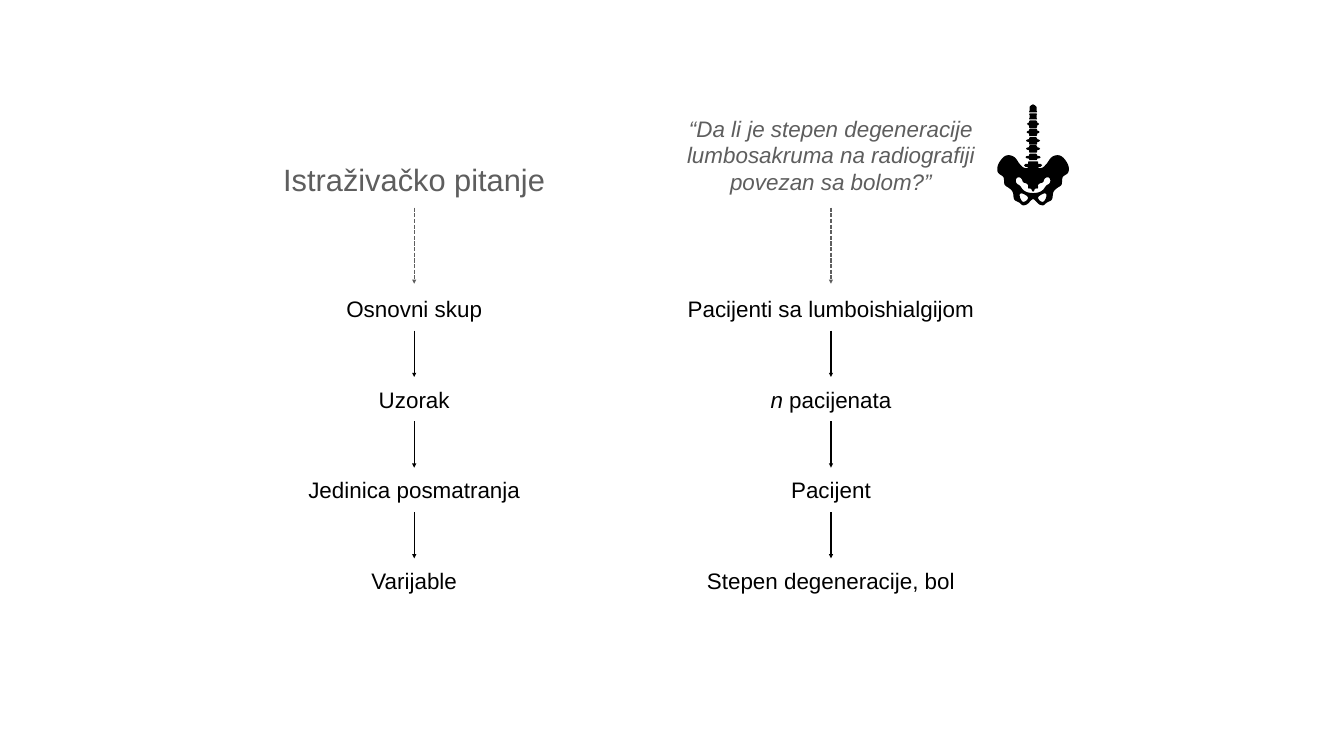
from dataclasses import dataclass

import lxml.etree
import pptx
import pptx.dml.color
import pptx.enum.dml
import pptx.enum.text
import pptx.oxml.ns
import pptx.shapes.shapetree
import pptx.slide
import pptx.util

Inches = pptx.util.Inches
BLACK, GREY = "000000", "5E5E5E"
FIRST_ROW, ROW_STEP, ROW_HEIGHT = 5.75, 1.8, 0.74
SPINE_X = 20.5
CURVE_STEPS = 8

Point = tuple[float, float]
Curve = tuple[Point, Point, Point]


@dataclass(frozen=True)
class Step:
    label: str
    width: float
    italic_lead: str = ""


@dataclass(frozen=True)
class Column:
    center: float
    question: str
    question_top: float
    question_width: float
    question_height: float
    question_size: int
    question_italic: bool
    question_wrap: bool
    steps: tuple[Step, ...]


@dataclass(frozen=True)
class Vertebra:
    top: float
    reach: float
    height: float = 0.15


COLUMNS = (
    Column(8.22, "Istraživačko pitanje", 3.12, 5.41, 0.86, 44, False, False, (
        Step("Osnovni skup", 3.3),
        Step("Uzorak", 1.8),
        Step("Jedinica posmatranja", 5.05),
        Step("Varijable", 2.1),
    )),
    Column(16.49, "“Da li je stepen degeneracije lumbosakruma na radiografiji povezan sa bolom?”",
           2.19, 7.57, 1.77, 32, True, True, (
               Step("Pacijenti sa lumboishialgijom", 6.86),
               Step("pacijenata", 4.1, italic_lead="n "),
               Step("Pacijent", 5.05),
               Step("Stepen degeneracije, bol", 6.29),
           )),
)

VERTEBRAE = (
    Vertebra(2.39, 0.12), Vertebra(2.55, 0.13), Vertebra(2.72, 0.14),
    Vertebra(2.88, 0.14), Vertebra(3.05, 0.15, 0.13),
)
TOP_VERTEBRA: list[Point] = [(0, 2.07), (0.04, 2.09), (0.07, 2.12), (0.07, 2.2), (0.08, 2.22), (0.07, 2.23)]
SECOND_VERTEBRA: list[Point] = [(0, 2.25), (0.06, 2.25), (0.08, 2.26), (0.07, 2.28),
                                (0.07, 2.34), (0.08, 2.36), (0.07, 2.37)]
SACRUM: list[Point] = [(0, 3.2), (0.08, 3.2), (0.1, 3.21), (0.1, 3.25), (0.15, 3.25),
                       (0.18, 3.28), (0.15, 3.31), (0.11, 3.31), (0.1, 3.33)]
HIP: tuple[Curve, ...] = (
    ((0.16, 3.35), (0.21, 3.32), (0.24, 3.28)),
    ((0.28, 3.24), (0.27, 3.25), (0.33, 3.16)),
    ((0.38, 3.08), (0.52, 3.04), (0.6, 3.13)),
    ((0.64, 3.17), (0.72, 3.27), (0.71, 3.37)),
    ((0.71, 3.46), (0.62, 3.47), (0.59, 3.51)),
    ((0.57, 3.55), (0.58, 3.6), (0.57, 3.65)),
    ((0.56, 3.69), (0.52, 3.7), (0.48, 3.73)),
    ((0.44, 3.76), (0.39, 3.79), (0.39, 3.89)),
    ((0.38, 3.99), (0.35, 3.98), (0.29, 4.01)),
    ((0.23, 4.04), (0.23, 4.09), (0.16, 4.07)),
    ((0.09, 4.06), (0.05, 3.96), (0, 3.95)),
)
PELVIC_INLET: tuple[Curve, ...] = (
    ((0.11, 3.83), (0.19, 3.8), (0.24, 3.71)),
    ((0.28, 3.65), (0.31, 3.67), (0.33, 3.63)),
    ((0.36, 3.58), (0.33, 3.52), (0.3, 3.52)),
    ((0.25, 3.51), (0.22, 3.55), (0.21, 3.59)),
    ((0.21, 3.61), (0.19, 3.62), (0.17, 3.63)),
    ((0.15, 3.63), (0.12, 3.64), (0.1, 3.67)),
    ((0.09, 3.69), (0.1, 3.7), (0.1, 3.71)),
    ((0.1, 3.73), (0.09, 3.75), (0.07, 3.74)),
    ((0.05, 3.74), (0.04, 3.74), (0.03, 3.76)),
    ((0.02, 3.78), (0.02, 3.8), (0, 3.8)),
)
HIP_OPENING: tuple[Curve, ...] = (
    ((0.25, 3.84), (0.26, 3.84), (0.26, 3.85)),
    ((0.28, 3.87), (0.25, 3.97), (0.21, 4)),
    ((0.17, 4.02), (0.1, 3.97), (0.1, 3.92)),
    ((0.11, 3.88), (0.19, 3.85), (0.21, 3.84)),
    ((0.22, 3.84), (0.23, 3.83), (0.24, 3.84)),
)


def color(value: str) -> pptx.dml.color.RGBColor:
    return pptx.dml.color.RGBColor.from_string(value)


def add_text(slide: pptx.slide.Slide, text: str, *, center: float, top: float, width: float,
             height: float, size: int = 32, fill: str = BLACK, italic: bool = False,
             italic_lead: str = "", wrap: bool = True) -> None:
    box = slide.shapes.add_textbox(Inches(center - width / 2), Inches(top), Inches(width), Inches(height))
    frame = box.text_frame
    frame.word_wrap = wrap
    frame.vertical_anchor = pptx.enum.text.MSO_ANCHOR.MIDDLE
    frame.margin_left = frame.margin_right = frame.margin_top = frame.margin_bottom = Inches(0.08)
    paragraph = frame.paragraphs[0]
    paragraph.alignment = pptx.enum.text.PP_ALIGN.CENTER
    for content, slanted in ((italic_lead, True), (text, italic)):
        if content:
            run = paragraph.add_run()
            run.text = content
            run.font.name = "Arial"
            run.font.size = pptx.util.Pt(size)
            run.font.italic = slanted
            run.font.color.rgb = color(fill)


def add_arrow(slide: pptx.slide.Slide, x: float, top: float, bottom: float,
              stroke: str = BLACK, dashed: bool = False) -> None:
    arrow = slide.shapes.add_connector(
        pptx.enum.shapes.MSO_CONNECTOR.STRAIGHT, Inches(x), Inches(top), Inches(x), Inches(bottom))
    arrow.line.color.rgb = color(stroke)
    arrow.line.width = pptx.util.Pt(2)
    if dashed:
        arrow.line.dash_style = pptx.enum.dml.MSO_LINE.SQUARE_DOT
    properties = arrow._element.spPr
    outline = properties.find(pptx.oxml.ns.qn("a:ln"))
    lxml.etree.SubElement(outline, pptx.oxml.ns.qn("a:tailEnd"), type="triangle")
    lxml.etree.SubElement(properties, pptx.oxml.ns.qn("a:effectLst"))


def trace(start: Point, curves: tuple[Curve, ...]) -> list[Point]:
    points = [start]
    for first, second, end in curves:
        begin = points[-1]
        for index in range(1, CURVE_STEPS + 1):
            t = index / CURVE_STEPS
            weights = ((1 - t) ** 3, 3 * t * (1 - t) ** 2, 3 * t ** 2 * (1 - t), t ** 3)
            corners = (begin, first, second, end)
            points.append((sum(w * c[0] for w, c in zip(weights, corners)),
                           sum(w * c[1] for w, c in zip(weights, corners))))
    return points


def mirror(half: list[Point]) -> list[Point]:
    return [(-x, y) for x, y in reversed(half)]


def add_bone(shapes: pptx.shapes.shapetree.GroupShapes, *contours: list[Point]) -> None:
    placed = [[(Inches(SPINE_X + x), Inches(y)) for x, y in contour] for contour in contours]
    builder = shapes.build_freeform(*placed[0][0])
    builder.add_line_segments(placed[0][1:], close=True)
    for contour in placed[1:]:
        builder.move_to(*contour[0])
        builder.add_line_segments(contour[1:], close=True)
    bone = builder.convert_to_shape()
    bone.shadow.inherit = False
    bone.fill.solid()
    bone.fill.fore_color.rgb = color(BLACK)
    bone.line.fill.background()


def vertebra_half(vertebra: Vertebra) -> list[Point]:
    top, reach, bottom = vertebra.top, vertebra.reach, vertebra.top + vertebra.height
    return [(0, top), (0.06, top), (0.08, top + 0.02), (0.08, top + 0.04), (reach - 0.02, top + 0.05),
            (reach, top + 0.07), (reach - 0.02, top + 0.09), (0.08, top + 0.1),
            (0.08, bottom - 0.02), (0.07, bottom)]


def add_skeleton(slide: pptx.slide.Slide) -> None:
    shapes = slide.shapes.add_group_shape().shapes
    for half in (TOP_VERTEBRA, SECOND_VERTEBRA, *map(vertebra_half, VERTEBRAE)):
        add_bone(shapes, half + mirror(half))
    pelvis = SACRUM[:-1] + trace(SACRUM[-1], HIP)
    inlet = trace((0, 3.83), PELVIC_INLET)
    opening = trace((0.24, 3.84), HIP_OPENING)
    add_bone(shapes, pelvis + mirror(pelvis), inlet + mirror(inlet), opening, mirror(opening))


def add_column(slide: pptx.slide.Slide, column: Column) -> None:
    add_text(slide, column.question, center=column.center, top=column.question_top,
             width=column.question_width, height=column.question_height, size=column.question_size,
             fill=GREY, italic=column.question_italic, wrap=column.question_wrap)
    add_arrow(slide, column.center, 4.12, 5.63, GREY, dashed=True)
    for index, step in enumerate(column.steps):
        top = FIRST_ROW + index * ROW_STEP
        add_text(slide, step.label, center=column.center, top=top, width=step.width,
                 height=ROW_HEIGHT, italic_lead=step.italic_lead)
        if index:
            add_arrow(slide, column.center, top - 0.99, top - 0.07)


def main() -> None:
    presentation = pptx.Presentation()
    presentation.slide_width, presentation.slide_height = Inches(26.67), Inches(15)
    slide = presentation.slides.add_slide(presentation.slide_layouts[6])
    for column in COLUMNS:
        add_column(slide, column)
    add_skeleton(slide)
    presentation.save("out.pptx")


if __name__ == "__main__":
    main()
